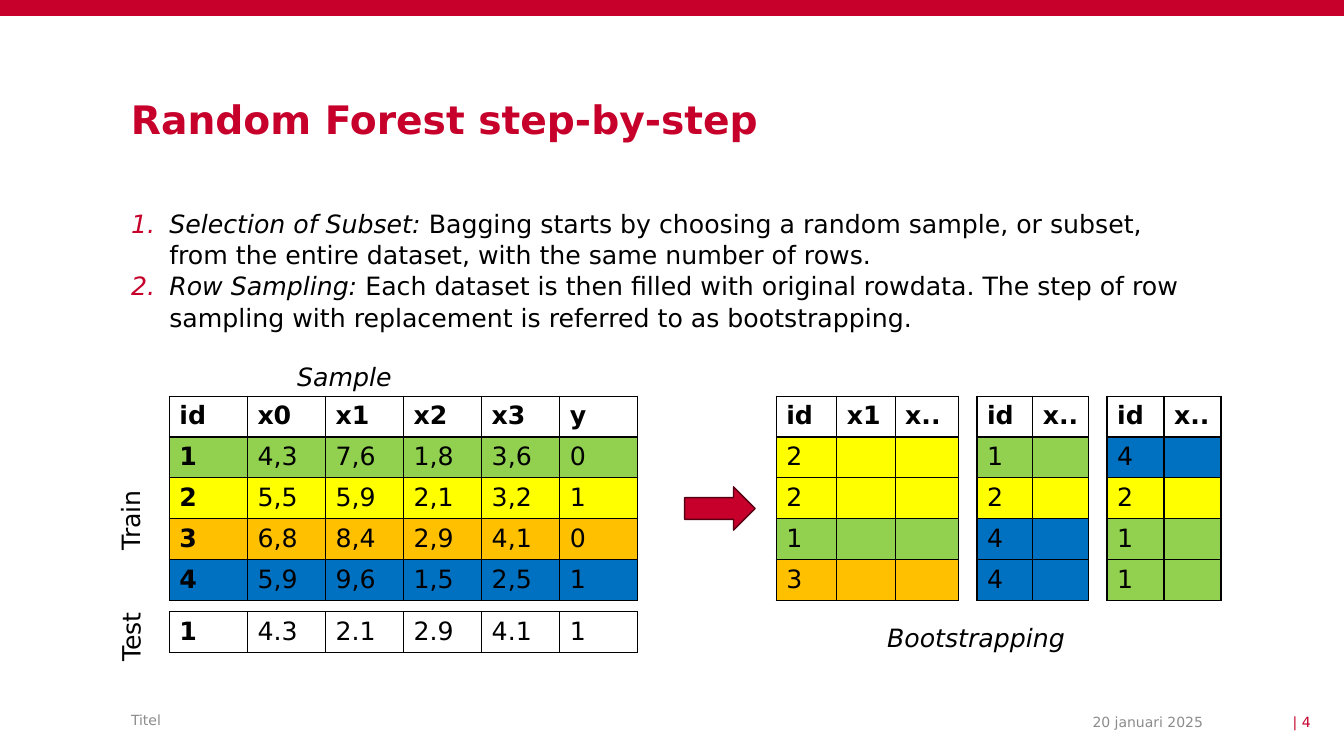
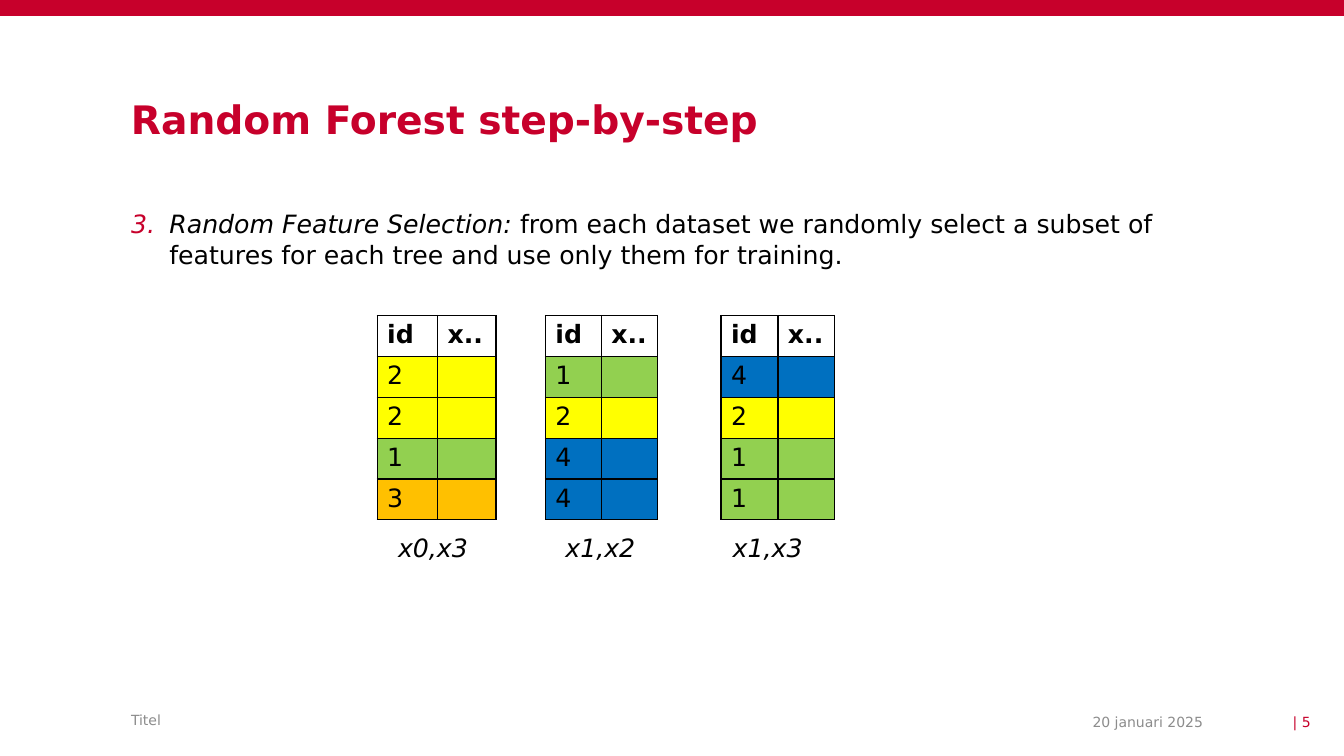
"""Build two slides on the bootstrapping and feature steps of a random forest."""
from lxml.etree import SubElement
from pptx import Presentation
from pptx.dml.color import RGBColor
from pptx.enum.shapes import MSO_SHAPE as Shape
from pptx.enum.text import MSO_ANCHOR as Anchor, PP_ALIGN as Align
from pptx.oxml.ns import qn
from pptx.util import Inches, Pt

RED, DARK_RED, GREY = "C7002B", "570013", "8C8C8C"
BLACK, WHITE = "000000", "FFFFFF"
ROW_FILLS = {"1": "92D050", "2": "FFFF00", "3": "FFC000", "4": "0070C0"}
FONT = "DejaVu Sans"
WIDTH, HEIGHT = Inches(13.33), Inches(7.5)
MARGIN, ROW = 9.75, 5.41


def colour(value):
    return RGBColor.from_string(value)


def across(share):
    return round(WIDTH * share / 100)


def down(share):
    return round(HEIGHT * share / 100)


def write(para, text, size=18, ink=BLACK, bold=False, italic=False):
    span = para.add_run()
    span.text = text
    span.font.name = FONT
    span.font.size = Pt(size)
    span.font.bold = bold
    span.font.italic = italic
    span.font.color.rgb = colour(ink)


def add_solid(parent, value):
    fill = SubElement(parent, qn("a:solidFill"))
    SubElement(fill, qn("a:srgbClr"), val=value)


class Deck:
    """Hold the shared style and the current page; lengths are percentages of the slide."""

    def __init__(self):
        self.file = Presentation()
        self.file.slide_width, self.file.slide_height = WIDTH, HEIGHT
        self.page = None

    def add_page(self, title, number):
        self.page = self.file.slides.add_slide(self.file.slide_layouts[6])
        self.shape(Shape.RECTANGLE, 0, 0, 100, 2.1, RED)
        heading = self.frame(MARGIN, 13.33, 63.47, 5.2).paragraphs[0]
        heading.line_spacing = 0.9
        write(heading, title, size=28, ink=RED, bold=True)
        self.footer("Titel", MARGIN, 93.2, 49.8, 4.13, GREY, Align.LEFT)
        self.footer("20 januari 2025", 67, 93.87, 22.5, 3.2, GREY, Align.RIGHT)
        self.footer(f"| {number}", 90.85, 93.87, 6.67, 3.2, RED, Align.RIGHT)

    def frame(self, left, top, width, height, inset=0, turn=0, wrap=True):
        box = self.page.shapes.add_textbox(across(left), down(top), across(width), down(height))
        box.rotation = turn
        frame = box.text_frame
        frame.word_wrap = wrap
        frame.margin_left = frame.margin_right = Inches(inset)
        frame.margin_top = frame.margin_bottom = Inches(inset / 2)
        return frame

    def footer(self, text, left, top, width, height, ink, align):
        frame = self.frame(left, top, width, height)
        frame.vertical_anchor = Anchor.MIDDLE
        frame.paragraphs[0].alignment = align
        write(frame.paragraphs[0], text, size=10, ink=ink)

    def label(self, text, left, top, width, italic=True, turn=0):
        frame = self.frame(left, top, width, 5.33, inset=0.1, turn=turn, wrap=False)
        write(frame.paragraphs[0], text, italic=italic)

    def shape(self, kind, left, top, width, height, fill, line=None):
        shape = self.page.shapes.add_shape(
            kind, across(left), down(top), across(width), down(height))
        shape.shadow.inherit = False
        shape.fill.solid()
        shape.fill.fore_color.rgb = colour(fill)
        if line:
            shape.line.color.rgb = colour(line)
            shape.line.width = Pt(1)
        else:
            shape.line.fill.background()

    def steps(self, items, start=1):
        frame = self.frame(MARGIN, 27.47, 79.74, 62)
        for index, (term, text) in enumerate(items):
            para = frame.add_paragraph() if index else frame.paragraphs[0]
            para.line_spacing = 1.03
            props = para._p.get_or_add_pPr()
            props.set("marL", str(Inches(0.38)))
            props.set("indent", str(-Inches(0.38)))
            tint = SubElement(props, qn("a:buClr"))
            SubElement(tint, qn("a:srgbClr"), val=RED)
            SubElement(props, qn("a:buAutoNum"), type="arabicPeriod", startAt=str(start))
            write(para, f"{term}: ", italic=True)
            write(para, text)

    def table(self, left, top, widths, rows, fills, bold_ids=False):
        table = self.page.shapes.add_table(
            len(rows), len(widths), across(left), down(top),
            across(sum(widths)), down(ROW * len(rows))).table
        table.first_row = table.horz_banding = False
        for column, width in zip(table.columns, widths):
            column.width = across(width)
        for r, (texts, fill) in enumerate(zip(rows, fills)):
            table.rows[r].height = down(ROW)
            for c, text in enumerate(texts):
                bold = texts[0] == "id" or (bold_ids and c == 0)
                self.cell(table.cell(r, c), text, fill, bold)

    def cell(self, cell, text, fill, bold):
        props = cell._tc.get_or_add_tcPr()
        for side in "LRTB":
            add_solid(SubElement(props, qn(f"a:ln{side}"), w=str(Pt(1))), BLACK)
        cell.fill.solid()
        cell.fill.fore_color.rgb = colour(fill)
        if text:
            write(cell.text_frame.paragraphs[0], text, bold=bold)

    def bootstrap(self, left, top, widths, header, ids):
        rows = [header] + [[key] + [""] * (len(header) - 1) for key in ids]
        self.table(left, top, widths, rows, [WHITE] + [ROW_FILLS[key] for key in ids])


def main():
    deck = Deck()
    title = "Random Forest step-by-step"
    pair = ["id", "x.."]
    second, third = ([4.16] * 2, pair, "1244"), ([4.24] * 2, pair, "4211")

    deck.add_page(title, 4)
    deck.steps([
        ("Selection of Subset", "Bagging starts by choosing a random sample, or subset, "
         "from the entire dataset, with the same number of rows."),
        ("Row Sampling", "Each dataset is then filled with original rowdata. The step of "
         "row sampling with replacement is referred to as bootstrapping."),
    ])
    sample = [
        ["id", "x0", "x1", "x2", "x3", "y"],
        ["1", "4,3", "7,6", "1,8", "3,6", "0"],
        ["2", "5,5", "5,9", "2,1", "3,2", "1"],
        ["3", "6,8", "8,4", "2,9", "4,1", "0"],
        ["4", "5,9", "9,6", "1,5", "2,5", "1"],
    ]
    test = [["1", "4.3", "2.1", "2.9", "4.1", "1"]]
    deck.table(12.6, 52.4, [5.81] * 6, sample, [WHITE, *ROW_FILLS.values()], bold_ids=True)
    deck.table(12.6, 80.93, [5.81] * 6, test, [WHITE], bold_ids=True)
    first = ([4.5, 4.35, 4.73], ["id", "x1", "x.."], "2213")
    for left, subset in zip((57.76, 72.69, 82.37), (first, second, third)):
        deck.bootstrap(left, 52.4, *subset)
    deck.shape(Shape.RIGHT_ARROW, 50.94, 64.4, 5.25, 5.73, RED, line=DARK_RED)
    deck.label("Sample", 21.38, 47.07, 8.63)
    deck.label("Bootstrapping", 65.27, 81.6, 14.78)
    deck.label("Train", 6.6, 66, 6.15, italic=False, turn=270)
    deck.label("Test", 7.05, 81.47, 5.33, italic=False, turn=270)

    deck.add_page(title, 5)
    deck.steps([("Random Feature Selection", "from each dataset we randomly select a subset "
                 "of features for each tree and use only them for training.")], start=3)
    first = ([4.5, 4.35], pair, "2213")
    for left, subset in zip((28.06, 40.58, 53.64), (first, second, third)):
        deck.bootstrap(left, 41.73, *subset)
    for index, features in enumerate(("x0,x3", "x1,x2", "x1,x3")):
        deck.label(features, 28.88 + 12.45 * index, 69.73, 6.83)

    deck.file.save("out.pptx")


if __name__ == "__main__":
    main()
